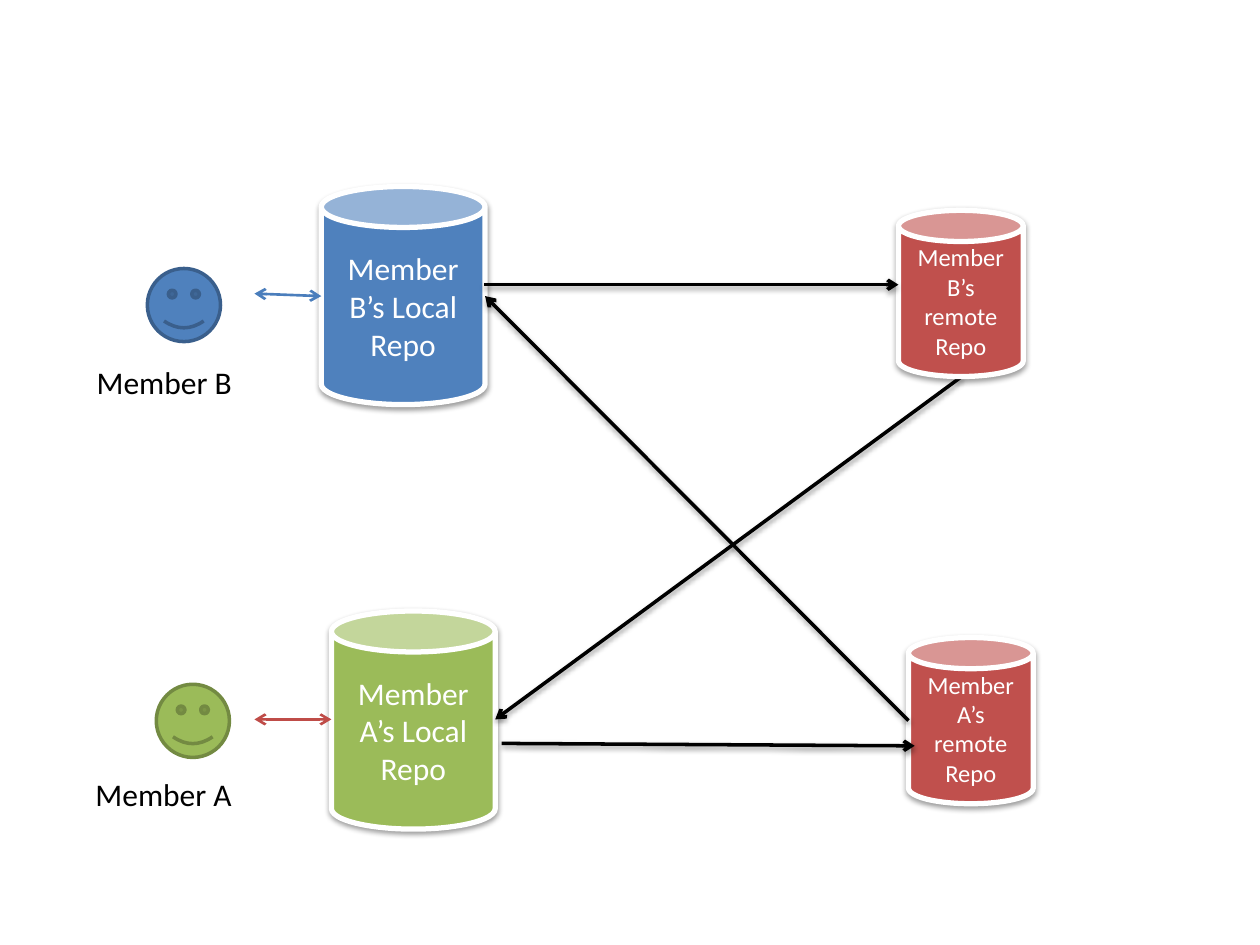
from lxml.etree import SubElement
from pptx import Presentation
from pptx.dml.color import RGBColor
from pptx.enum.shapes import MSO_CONNECTOR, MSO_SHAPE
from pptx.enum.text import MSO_ANCHOR, MSO_AUTO_SIZE, PP_ALIGN
from pptx.oxml import parse_xml
from pptx.oxml.ns import nsdecls, qn
from pptx.util import Pt

COLORS = {
    "blue": "4F81BD", "blue_edge": "3A5F8C", "blue_line": "4B7EBC",
    "green": "9BBB59", "green_edge": "738A42",
    "red": "C0504D", "red_line": "BF4C48",
    "white": "FFFFFF", "black": "000000",
}
RGB = {name: RGBColor.from_string(value) for name, value in COLORS.items()}
FONT = "Calibri"
SHADOW = (
    f'<a:effectLst {nsdecls("a")}>'
    '<a:outerShdw blurRad="40000" dist="20000" dir="5400000" rotWithShape="0">'
    '<a:srgbClr val="000000"><a:alpha val="38000"/></a:srgbClr>'
    '</a:outerShdw></a:effectLst>'
)
LOCAL = (93.6, 124.6, 18)
REMOTE = (71.3, 95, 14)

prs = Presentation()
prs.slide_width, prs.slide_height = Pt(720), Pt(540)
s = prs.slides.add_slide(prs.slide_layouts[6])


def add_repo(text, left, top, kind, color):
    width, height, size = kind
    sp = s.shapes.add_shape(MSO_SHAPE.CAN, Pt(left), Pt(top), Pt(width), Pt(height))
    sp.fill.solid()
    sp.fill.fore_color.rgb = RGB[color]
    sp.line.color.rgb = RGB["white"]
    sp.line.width = Pt(3)
    sp._element.spPr.append(parse_xml(SHADOW))
    tf = sp.text_frame
    tf.word_wrap = True
    tf.vertical_anchor = MSO_ANCHOR.MIDDLE
    p = tf.paragraphs[0]
    p.text = text
    p.alignment = PP_ALIGN.CENTER
    p.font.name, p.font.size = FONT, Pt(size)
    p.font.color.rgb = RGB["white"]


def add_arrow(x1, y1, x2, y2, ends, color="black", width=2, shadow=True):
    cx = s.shapes.add_connector(MSO_CONNECTOR.STRAIGHT, Pt(x1), Pt(y1), Pt(x2), Pt(y2))
    cx.line.color.rgb = RGB[color]
    cx.line.width = Pt(width)
    ln = cx.line._get_or_add_ln()
    for end in ends:
        SubElement(ln, qn(f"a:{end}"), type="arrow")
    effects = SHADOW if shadow else f'<a:effectLst {nsdecls("a")}/>'
    cx._element.spPr.append(parse_xml(effects))


BOTH = ("headEnd", "tailEnd")
add_repo("Member B’s Local Repo", 183.6, 106.6, LOCAL, "blue")
add_repo("Member A’s Local Repo", 189.4, 349.2, LOCAL, "green")
add_arrow(145.4, 167.8, 183.6, 169.2, BOTH, "blue_line", 1.5, False)
add_repo("Member A’s remote Repo", 519.1, 364.3, REMOTE, "red")
add_arrow(283, 411.1, 549.4, 215.3, ["headEnd"])
add_arrow(286.6, 424.8, 522.7, 426.2, ["tailEnd"])
add_arrow(145.4, 411.1, 189.4, 411.1, BOTH, "red_line", 1.5, False)
add_repo("Member B’s remote Repo", 513.4, 120.2, REMOTE, "red")
add_arrow(277.2, 169.2, 519.1, 411.8, ["headEnd"])
add_arrow(276.5, 162.7, 513.4, 162.7, ["tailEnd"])

members = [
    ("Member B", 84.2, 153.4, 48.2, 203.8, "blue"),
    ("Member A", 89.3, 391, 47.5, 439.2, "green"),
]
for name, face_x, face_y, label_x, label_y, color in members:
    sp = s.shapes.add_shape(MSO_SHAPE.SMILEY_FACE, Pt(face_x), Pt(face_y), Pt(41.8), Pt(41.8))
    sp.shadow.inherit = False
    sp.fill.solid()
    sp.fill.fore_color.rgb = RGB[color]
    sp.line.color.rgb = RGB[f"{color}_edge"]
    sp.line.width = Pt(2)

    label = s.shapes.add_textbox(Pt(label_x), Pt(label_y), Pt(108), Pt(29))
    tf = label.text_frame
    tf.word_wrap = True
    tf.auto_size = MSO_AUTO_SIZE.SHAPE_TO_FIT_TEXT
    p = tf.paragraphs[0]
    p.text = name
    p.font.name, p.font.size = FONT, Pt(18)
    p.font.color.rgb = RGB["black"]

prs.save("out.pptx")
